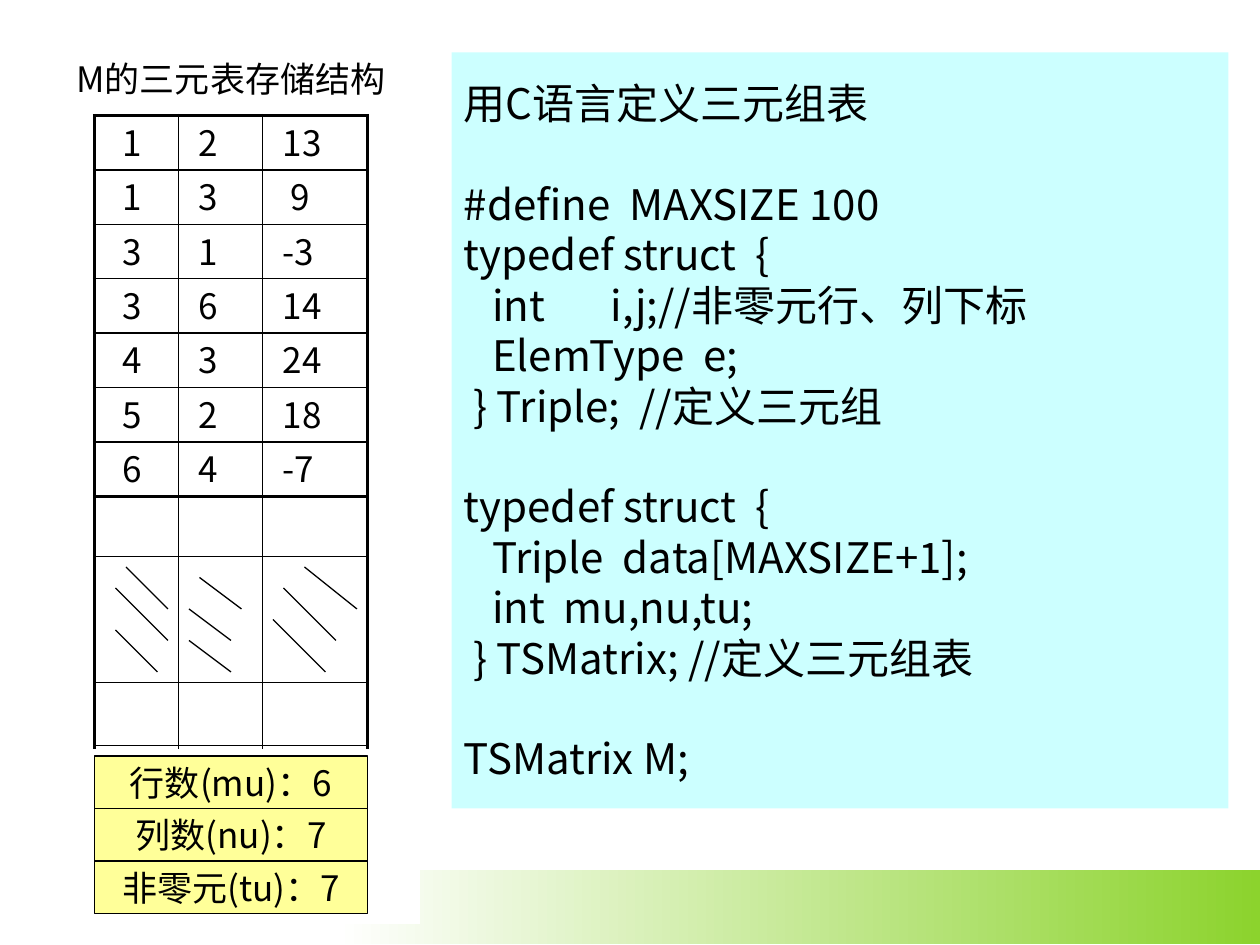
from lxml.etree import SubElement as Sub
from pptx import Presentation
from pptx.dml.color import RGBColor
from pptx.enum.shapes import MSO_CONNECTOR as Link, MSO_SHAPE as Kind
from pptx.enum.text import MSO_ANCHOR as Anchor, MSO_AUTO_SIZE as Fit, PP_ALIGN as Align
from pptx.oxml.ns import qn
from pptx.util import Inches, Pt

FONT = "Noto Sans CJK SC"
INK, PAPER, LIME, LEMON, AQUA = "000000", "FFFFFF", "8CD32D", "FFFF99", "CCFFFF"
UNIT = Inches(1) / 12  # the slide is a grid of 120 columns and 90 rows
COLS = (0, 8, 16, 26)  # column edges of the triple table
ROWS = [(1, 2, 13), (1, 3, 9), (3, 1, -3), (3, 6, 14), (4, 3, 24), (5, 2, 18), (6, 4, -7)]
COUNTS = ["行数(mu)：6", "列数(nu)：7", "非零元(tu)：7"]
HATCH = [(3, 1, 4, 4), (2, 3, 5, 5), (2, 7, 4, 4),
         (10, 2, 4, 3), (9, 5, 4, 3), (9, 8, 4, 3),
         (20, 1, 5, 4), (18, 3, 5, 5), (17, 6, 5, 5)]
CODE = """用C语言定义三元组表

#define  MAXSIZE 100
typedef struct  {
   int       i,j;//非零元行、列下标
   ElemType  e;
 } Triple;  //定义三元组

typedef struct  {
   Triple  data[MAXSIZE+1];
   int  mu,nu,tu;
 } TSMatrix; //定义三元组表

TSMatrix M;"""


def grid(*vals):
    return [round(v * UNIT) for v in vals]


def color(text):
    return RGBColor.from_string(text)


def assign(item, form):
    for key, val in form.items():
        setattr(item, key, val)


def write(para, text, size, align=Align.LEFT, before=0):
    assign(para, {"alignment": align, "line_spacing": Pt(size * 1.2), "space_before": Pt(before)})
    run = para.add_run()
    run.text = text
    assign(run.font, {"name": FONT, "size": Pt(size), "bold": False})
    run.font.color.rgb = color(INK)
    Sub(run.font._element, qn("a:ea"), typeface=FONT)


def block(slide, box, fill, edge=None):
    rect = slide.shapes.add_shape(Kind.RECTANGLE, *grid(*box))
    rect.shadow.inherit = False
    rect.fill.solid()
    rect.fill.fore_color.rgb = color(fill)
    if edge:
        rect.line.color.rgb = color(edge)
        rect.line.width = Pt(0.75)
    else:
        rect.line.fill.background()
    assign(rect.text_frame, {"word_wrap": False, "vertical_anchor": Anchor.MIDDLE})
    return rect


def stroke(slide, x, y, wide, high, width=0.75):
    line = slide.shapes.add_connector(Link.STRAIGHT, *grid(x, y, x + wide, y + high))
    line.line.color.rgb = color(INK)
    line.line.width = Pt(width)
    Sub(line.element.spPr, qn("a:effectLst"))


def band(slide, box):
    rect = block(slide, box, PAPER)
    rect.fill.gradient()
    rect.fill.gradient_angle = 0
    for stop, tone, at in zip(rect.fill.gradient_stops, (PAPER, LIME), (0, 1)):
        stop.color.rgb = color(tone)
        stop.position = at


def heading(slide, box):
    title = slide.shapes.title
    slide.shapes.element.append(title.element)  # bring to front
    assign(title, dict(zip(("left", "top", "width", "height"), grid(*box))))
    frame = title.text_frame
    assign(frame, {"auto_size": Fit.NONE, "word_wrap": False, "vertical_anchor": Anchor.MIDDLE,
                   "margin_left": 0, "margin_right": 0})
    write(frame.paragraphs[0], "M的三元表存储结构", 20, Align.CENTER)


def border(cell, sides):
    """Draw the cell's sides, given as tag to width in points."""
    props = cell._tc.get_or_add_tcPr()
    for tag, width in sides.items():
        line = Sub(props, qn("a:" + tag), w=str(Pt(width)))
        Sub(Sub(line, qn("a:solidFill")), qn("a:srgbClr"), val=INK)


def triples(slide, box):
    last, end = len(ROWS) - 1, len(COLS) - 2
    table = slide.shapes.add_table(last + 1, end + 1, *grid(*box)).table
    assign(table, {"first_row": False, "horz_banding": False})
    for c, col in enumerate(table.columns):
        col.width = grid(COLS[c + 1] - COLS[c])[0]
    for r, row in enumerate(ROWS):
        for c, val in enumerate(row):
            cell = table.cell(r, c)
            inset = 0.22 if c == 0 or val == 9 else 0.16
            assign(cell, {"margin_left": Inches(inset), "margin_right": 0,
                          "margin_top": Inches(0.07), "margin_bottom": 0})
            write(cell.text_frame.paragraphs[0], str(val), 20)
            border(cell, {"lnL": 1 if c else 2.25, "lnR": 2.25 if c == end else 1,
                          "lnT": 1 if r else 2.25, "lnB": 2.25 if r == last else 1})
            cell.fill.background()


def spare(slide, box):
    """Unused rows: column lines, row lines and hatching."""
    x, y, wide, high = box
    for col in COLS:
        stroke(slide, x + col, y, 0, high, 2.25 if col in (0, wide) else 1)
    for row in (7, 19, 25):
        stroke(slide, x, y + row, wide, 0)
    for dx, dy, w, h in HATCH:
        stroke(slide, x + dx, y + 7 + dy, w, h)


def counts(slide, box):
    x, y, wide, high = box
    step = high / len(COUNTS)
    for i, text in enumerate(COUNTS):
        rect = block(slide, (x, y + i * step, wide, step), LEMON, INK)
        write(rect.text_frame.paragraphs[0], text, 20, Align.CENTER)


def code(slide, box):
    frame = block(slide, box, AQUA).text_frame
    para, gap = frame.paragraphs[0], 0
    for text in CODE.split("\n"):
        if not text:
            gap = 28.8
            continue
        if para is None:
            para = frame.add_paragraph()
        write(para, text, 24, before=gap)
        para, gap = None, 0


def main():
    deck = Presentation()
    deck.slide_width, deck.slide_height = grid(120, 90)
    slide = deck.slides.add_slide(deck.slide_layouts[5])
    band(slide, (32, 82.9, 88, 7))
    block(slide, (6, 5, 34, 83), PAPER)
    heading(slide, (6, 6, 32, 3))
    spare(slide, (9, 46, 26, 25.3))
    triples(slide, (9, 11, 26, 36.3))
    counts(slide, (9, 72, 26, 15))
    code(slide, (43, 5, 74, 72))
    deck.save("out.pptx")


if __name__ == "__main__":
    main()
